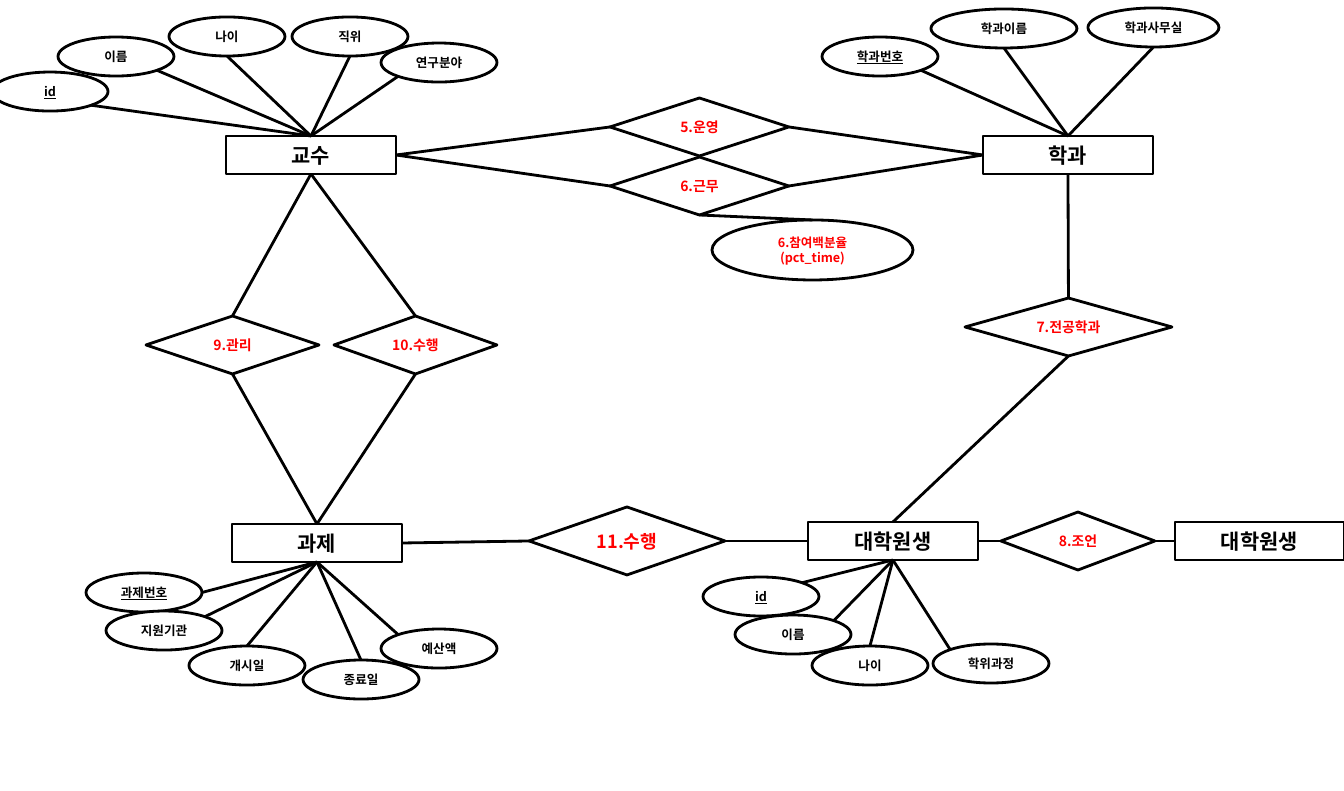
from dataclasses import dataclass

from pptx import Presentation, util as u
from pptx.dml.color import RGBColor
from pptx.enum import shapes, text
from pptx.oxml.ns import qn

SCALE = 914400 / 100.4  # EMU per pixel


@dataclass(frozen=True)
class Theme:
    font: str = "Noto Sans CJK KR"
    ink: RGBColor = RGBColor(0, 0, 0)
    paper: RGBColor = RGBColor(255, 255, 255)
    accent: RGBColor = RGBColor(255, 0, 0)
    entity_size: int = 15
    attribute_size: int = 9
    relation_size: int = 10
    large_relation_size: int = 13
    line_width: int = 2


theme = Theme()
RECTANGLE = shapes.MSO_SHAPE.RECTANGLE
ELLIPSE = shapes.MSO_SHAPE.OVAL
DIAMOND = shapes.MSO_SHAPE.FLOWCHART_DECISION
TOP, LEFT, BOTTOM, RIGHT = range(4)  # connection sites

presentation = Presentation()
presentation.slide_width = round(1344 * SCALE)
presentation.slide_height = round(791 * SCALE)
slide = presentation.slides.add_slide(presentation.slide_layouts[6])


def add_node(label, kind, box, *, size, color=theme.ink, underline=None):
    """Draw an outlined shape with a centred bold label; box is in pixels."""
    shape = slide.shapes.add_shape(kind, *(round(length * SCALE) for length in box))
    shape.shadow.inherit = False
    shape.fill.solid()
    shape.fill.fore_color.rgb = theme.paper
    shape.line.color.rgb = theme.ink
    shape.line.width = u.Pt(theme.line_width)
    frame = shape.text_frame
    frame.word_wrap = True
    frame.vertical_anchor = text.MSO_ANCHOR.MIDDLE
    frame.margin_left = frame.margin_right = round(12 * SCALE)
    frame.margin_top = frame.margin_bottom = round(6 * SCALE)
    paragraph = frame.paragraphs[0]
    paragraph.alignment = text.PP_ALIGN.CENTER
    run = paragraph.add_run()
    run.text = label
    run.font.name = theme.font
    run.font.size = u.Pt(size)
    run.font.bold = True
    run.font.underline = underline
    run.font.color.rgb = color
    east_asian = run.font._element.makeelement(qn("a:ea"), {"typeface": theme.font})
    run.font._element.find(qn("a:latin")).addnext(east_asian)
    return shape


def add_link(start, start_site, end, end_site):
    """Join two shapes; start_site is a site number or an (x, y) share of the start box."""
    share = start_site if isinstance(start_site, tuple) else (0, 0)
    x = round(start.left + share[0] * start.width)
    y = round(start.top + share[1] * start.height)
    connector = slide.shapes.add_connector(shapes.MSO_CONNECTOR.STRAIGHT, x, y, x, y)
    if not isinstance(start_site, tuple):
        connector.begin_connect(start, start_site)
    connector.end_connect(end, end_site)
    connector.line.color.rgb = theme.ink
    connector.line.width = u.Pt(theme.line_width)
    properties = connector._element.spPr
    properties.append(properties.makeelement(qn("a:effectLst"), {}))


# Entities
entities = {}
for key, label, x, y, width in [
    ("professor", "교수", 226, 136, 170),
    ("department", "학과", 983, 136, 170),
    ("project", "과제", 232, 524, 170),
    ("student", "대학원생", 808, 522, 170),
    ("advisor", "대학원생", 1175, 522, 169),
]:
    entities[key] = add_node(label, RECTANGLE, (x, y, width, 38), size=theme.entity_size)

# Attributes: label, left, top, width, point where the link starts
top, bottom, right = (0.5, 0), (0.5, 1), (1, 0.5)
top_left, top_right = (0.15, 0.15), (0.85, 0.15)
bottom_left, bottom_right = (0.15, 0.85), (0.85, 0.85)
attributes = {
    ("professor", TOP): [
        ("id", -8, 72, 116, bottom_right),
        ("이름", 58, 37, 116, bottom_right),
        ("나이", 169, 17, 116, bottom),
        ("직위", 292, 17, 116, bottom),
        ("연구분야", 381, 43, 116, bottom_left),
    ],
    ("department", TOP): [
        ("학과번호", 822, 37, 116, bottom_right),
        ("학과이름", 931, 9, 146, bottom),
        ("학과사무실", 1088, 8, 131, bottom),
    ],
    ("student", BOTTOM): [
        ("id", 703, 577, 116, top_right),
        ("이름", 735, 615, 116, top_right),
        ("나이", 812, 646, 116, top),
        ("학위과정", 933, 644, 116, top_left),
    ],
    ("project", BOTTOM): [
        ("과제번호", 86, 573, 116, right),
        ("지원기관", 106, 611, 116, top_right),
        ("개시일", 189, 646, 116, top),
        ("종료일", 303, 660, 116, top),
        ("예산액", 381, 629, 116, top_left),
    ],
}
for (key, site), ellipses in attributes.items():
    for index, (label, x, y, width, point) in enumerate(ellipses):
        # The first attribute of each entity is its key
        ellipse = add_node(label, ELLIPSE, (x, y, width, 39),
                           size=theme.attribute_size, underline=index == 0 or None)
        add_link(ellipse, point, entities[key], site)

# Relations: label, box, type size, then (own site, entity, entity site) for each link
across = [(LEFT, "professor", RIGHT), (RIGHT, "department", LEFT)]
down = [(TOP, "professor", BOTTOM), (BOTTOM, "project", TOP)]
relations = {}
for label, box, size, links in [
    ("6.근무", (610, 157, 179, 58), theme.relation_size, across),
    ("10.수행", (334, 316, 163, 58), theme.relation_size, down),
    ("11.수행", (529, 507, 196, 68), theme.large_relation_size,
     [(LEFT, "project", RIGHT), (RIGHT, "student", LEFT)]),
    ("9.관리", (146, 316, 173, 58), theme.relation_size, down),
    ("5.운영", (610, 98, 179, 58), theme.relation_size, across),
    ("7.전공학과", (965, 298, 207, 58), theme.relation_size,
     [(TOP, "department", BOTTOM), (BOTTOM, "student", TOP)]),
    ("8.조언", (1001, 512, 154, 58), theme.relation_size,
     [(LEFT, "student", RIGHT), (RIGHT, "advisor", LEFT)]),
]:
    relations[label] = add_node(label, DIAMOND, box, size=size, color=theme.accent)
    for own_site, key, entity_site in links:
        add_link(relations[label], own_site, entities[key], entity_site)

# Attribute of the work relation
share_of_time = add_node("6.참여백분율(pct_time)", ELLIPSE, (712, 220, 201, 60),
                         size=theme.attribute_size, color=theme.accent)
add_link(share_of_time, TOP, relations["6.근무"], BOTTOM)

presentation.save("out.pptx")
